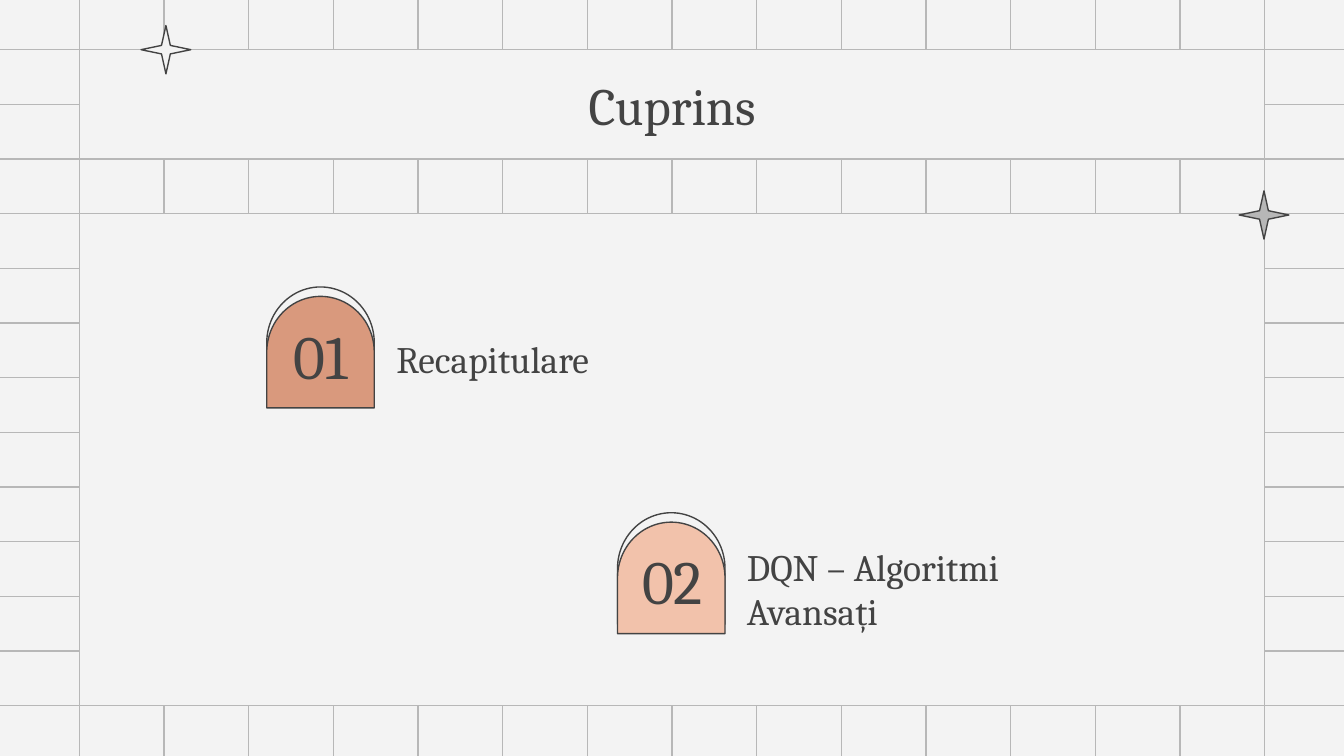
"""Build the Cuprins contents slide with its grid, arches and stars."""
from lxml import etree
from pptx import Presentation
from pptx import util as u
from pptx.dml.color import RGBColor
from pptx.enum import shapes, text
from pptx.oxml import ns

PAPER, GRID, INK = "F3F3F3", "B7B7B7", "434343"
FONT = "Cambria"
WIDTH = 10
HEIGHT = WIDTH * 9 / 16
LEFT, RIGHT, TOP, BOTTOM = 0.59, 9.41, 0.37, 5.25
COLUMNS, ROWS = 14, 12
VERTICAL_SPANS = [(-0.03, 2.81), (2.81, 5.66)]
HORIZONTAL_SPANS = [(-0.04, 5), (5, 10.04)]

TITLE = ("Cuprins", (LEFT, TOP, RIGHT - LEFT, 0.81))
CONTENT_PANEL = (LEFT, 1.59, RIGHT - LEFT, 3.66)
CHAPTERS = [
    {"number": "01", "label": "Recapitulare", "color": "D9997D",
     "arch": (1.97, 2.15), "number_box": (1.92, 2.37, 0.93, 0.54),
     "label_box": (2.85, 2.47, 3.21, 0.4)},
    {"number": "02", "label": "DQN – Algoritmi Avansați", "color": "F2C2AB",
     "arch": (4.58, 3.83), "number_box": (4.54, 4.05, 0.93, 0.53),
     "label_box": (5.46, 4.18, 2.43, 0.4)},
]
ARCH_SIZE, ARCH_OFFSET = (0.83, 0.8), 0.07
STARS = [((9.22, 1.42, 0.37, 0.36), GRID), ((1.05, 0.19, 0.37, 0.36), PAPER)]


def rgb(color):
    return RGBColor.from_string(color)


def inches(values):
    return [u.Inches(value) for value in values]


def apply(target, values):
    for name, value in values.items():
        setattr(target, name, value)


def add_line(slide, start, end):
    line = slide.shapes.add_connector(
        shapes.MSO_CONNECTOR.STRAIGHT, *inches(start + end))
    line.line.color.rgb = rgb(GRID)
    line.line.width = u.Pt(0.75)
    etree.SubElement(line._element.spPr, ns.qn("a:effectLst"))


def add_shape(slide, kind, box, fill, outline):
    shape = slide.shapes.add_shape(kind, *inches(box))
    shape.shadow.inherit = False
    shape.fill.solid()
    shape.fill.fore_color.rgb = rgb(fill)
    shape.line.color.rgb = rgb(outline)
    shape.line.width = u.Pt(0.75)
    return shape


def write(shape, content, size, alignment, space_after=0):
    frame = shape.text_frame
    margin = u.Inches(0.1)
    apply(frame, {"word_wrap": True, "vertical_anchor": text.MSO_ANCHOR.MIDDLE,
                  "margin_left": margin, "margin_right": margin,
                  "margin_top": margin, "margin_bottom": margin})
    paragraph = frame.paragraphs[0]
    apply(paragraph, {"alignment": alignment, "space_after": u.Pt(space_after)})
    run = paragraph.add_run()
    run.text = content
    apply(run.font, {"name": FONT, "size": u.Pt(size)})
    run.font.color.rgb = rgb(INK)


def add_grid(slide):
    for column in range(COLUMNS + 1):
        x = LEFT + column * (RIGHT - LEFT) / COLUMNS
        for start, end in VERTICAL_SPANS:
            add_line(slide, (x, start), (x, end))
    for row in range(ROWS + 1):
        y = TOP + row * (BOTTOM - TOP) / ROWS
        for start, end in HORIZONTAL_SPANS:
            add_line(slide, (start, y), (end, y))


def add_chapter(slide, chapter):
    left, top = chapter["arch"]
    for offset, color in ((0, PAPER), (ARCH_OFFSET, chapter["color"])):
        arch = add_shape(slide, shapes.MSO_SHAPE.FLOWCHART_DELAY,
                         (left, top + offset) + ARCH_SIZE, color, INK)
        arch.rotation = 270
    label = slide.shapes.add_textbox(*inches(chapter["label_box"]))
    write(label, chapter["label"], 20, text.PP_ALIGN.LEFT, 12)
    number = slide.shapes.add_textbox(*inches(chapter["number_box"]))
    write(number, chapter["number"], 33, text.PP_ALIGN.CENTER)


def main():
    presentation = Presentation()
    apply(presentation, {"slide_width": u.Inches(WIDTH),
                         "slide_height": u.Inches(HEIGHT)})
    slide = presentation.slides.add_slide(presentation.slide_layouts[6])
    slide.background.fill.solid()
    slide.background.fill.fore_color.rgb = rgb(PAPER)

    add_grid(slide)
    rectangle = shapes.MSO_SHAPE.RECTANGLE
    add_shape(slide, rectangle, CONTENT_PANEL, PAPER, GRID)
    title, title_box = TITLE
    banner = add_shape(slide, rectangle, title_box, PAPER, GRID)
    write(banner, title, 28, text.PP_ALIGN.CENTER)
    for chapter in CHAPTERS:
        add_chapter(slide, chapter)
    for box, color in STARS:
        star = add_shape(slide, shapes.MSO_SHAPE.STAR_4_POINT, box, color, INK)
        star.adjustments[0] = 0.125
    presentation.save("out.pptx")


if __name__ == "__main__":
    main()
